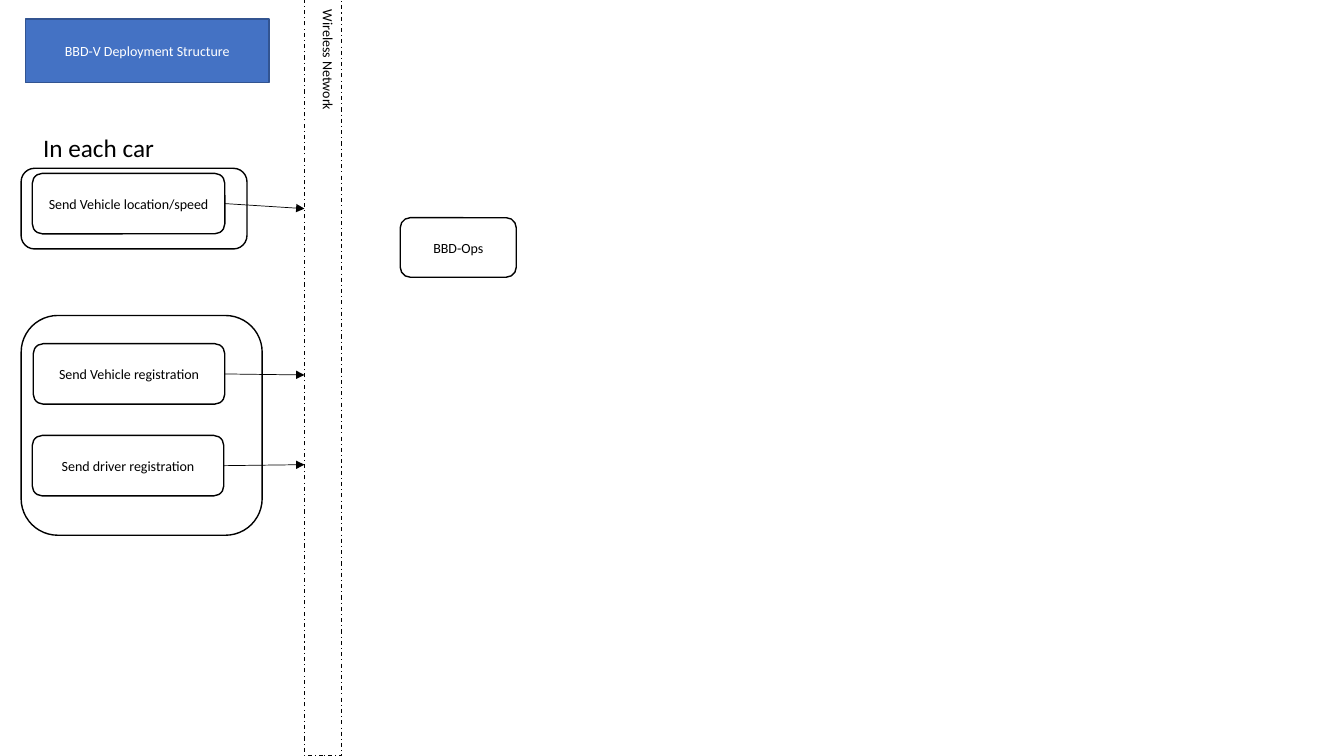
"""Build the BBD-V deployment structure slide."""

from dataclasses import dataclass

from lxml import etree
from pptx import Presentation
from pptx.dml.color import RGBColor
from pptx.enum.dml import MSO_LINE
from pptx.enum.shapes import MSO_CONNECTOR, MSO_SHAPE
from pptx.enum.text import MSO_ANCHOR, MSO_AUTO_SIZE, PP_ALIGN
from pptx.oxml.ns import qn
from pptx.util import Emu, Pt

RECTANGLE = MSO_SHAPE.RECTANGLE
ROUNDED = MSO_SHAPE.ROUNDED_RECTANGLE
STRAIGHT = MSO_CONNECTOR.STRAIGHT
DASH_DOT = MSO_LINE.DASH_DOT
MIDDLE = MSO_ANCHOR.MIDDLE
TOP = MSO_ANCHOR.TOP
CENTER = PP_ALIGN.CENTER
LEFT = PP_ALIGN.LEFT
NO_AUTO_SIZE = MSO_AUTO_SIZE.NONE

BLACK = RGBColor(0x00, 0x00, 0x00)
WHITE = RGBColor(0xFF, 0xFF, 0xFF)
BLUE = RGBColor(0x44, 0x72, 0xC4)
DARK_BLUE = RGBColor(0x32, 0x54, 0x91)

FONT = "Calibri"
EMU_PER_PX = 9144
RIGHT_SIDE = 3
NETWORK_LEFT = 302


@dataclass(frozen=True)
class Box:
    left: int
    top: int
    width: int
    height: int
    text: str = ""
    arrow_end: int | None = None


TITLE = Box(25, 19, 242, 63, "BBD-V Deployment Structure")
NETWORK = Box(NETWORK_LEFT, 0, 37, 750, "Wireless Network")
CAR_LABEL = Box(33, 126, 226, 40, "In each car")
FRAMES = (Box(21, 167, 224, 80), Box(21, 313, 239, 218))
STEPS = (
    Box(32, 172, 191, 60, "Send Vehicle location/speed", 207),
    Box(33, 341, 190, 60, "Send Vehicle registration", 372),
    Box(32, 432, 190, 60, "Send driver registration", 461),
    Box(397, 216, 115, 59, "BBD-Ops"),
)


def px(value: int) -> Emu:
    return Emu(value * EMU_PER_PX)


def bounds(box: Box) -> tuple[Emu, Emu, Emu, Emu]:
    return px(box.left), px(box.top), px(box.width), px(box.height)


def write(shape, text: str, color: RGBColor = BLACK, size: int = 10,
          align=CENTER, anchor=MIDDLE) -> None:
    frame = shape.text_frame
    frame.word_wrap = True
    frame.auto_size = NO_AUTO_SIZE
    frame.vertical_anchor = anchor
    paragraph = frame.paragraphs[0]
    paragraph.text = text
    paragraph.alignment = align
    paragraph.font.name = FONT
    paragraph.font.size = Pt(size)
    paragraph.font.color.rgb = color


def paint(shape, fill: RGBColor | None, line: RGBColor = BLACK, width: float = 1) -> None:
    if fill is None:
        shape.fill.background()
    else:
        shape.fill.solid()
        shape.fill.fore_color.rgb = fill
    shape.line.color.rgb = line
    shape.line.width = Pt(width)


def add_box(slide, box: Box, kind=ROUNDED, fill: RGBColor | None = None, width: float = 1):
    shape = slide.shapes.add_shape(kind, *bounds(box))
    shape.shadow.inherit = False
    paint(shape, fill, width=width)
    return shape


def add_title(slide) -> None:
    title = slide.shapes.title
    title.left, title.top, title.width, title.height = bounds(TITLE)
    paint(title, BLUE, DARK_BLUE)
    write(title, TITLE.text, WHITE)


def add_network(slide) -> None:
    network = add_box(slide, NETWORK, RECTANGLE, width=0.75)
    network.line.dash_style = DASH_DOT
    write(network, NETWORK.text, align=LEFT, anchor=TOP)
    network.text_frame._txBody.bodyPr.set("vert", "eaVert")


def add_arrow(slide, source, end_y: int) -> None:
    end = px(NETWORK_LEFT), px(end_y)
    arrow = slide.shapes.add_connector(STRAIGHT, *end, *end)
    arrow.begin_connect(source, RIGHT_SIDE)
    arrow.line.color.rgb = BLACK
    arrow.line.width = Pt(0.5)
    etree.SubElement(arrow.line._get_or_add_ln(), qn("a:tailEnd"), type="triangle")
    etree.SubElement(arrow._element.spPr, qn("a:effectLst"))


def main() -> None:
    presentation = Presentation()
    presentation.slide_width = px(1333)
    presentation.slide_height = px(750)
    slide = presentation.slides.add_slide(presentation.slide_layouts[5])
    add_title(slide)
    add_network(slide)
    for frame in FRAMES:
        add_box(slide, frame)
    for step in STEPS:
        shape = add_box(slide, step, fill=WHITE)
        write(shape, step.text)
        if step.arrow_end is not None:
            add_arrow(slide, shape, step.arrow_end)
    label = slide.shapes.add_textbox(*bounds(CAR_LABEL))
    write(label, CAR_LABEL.text, size=18, align=LEFT, anchor=TOP)
    presentation.save("out.pptx")


if __name__ == "__main__":
    main()
